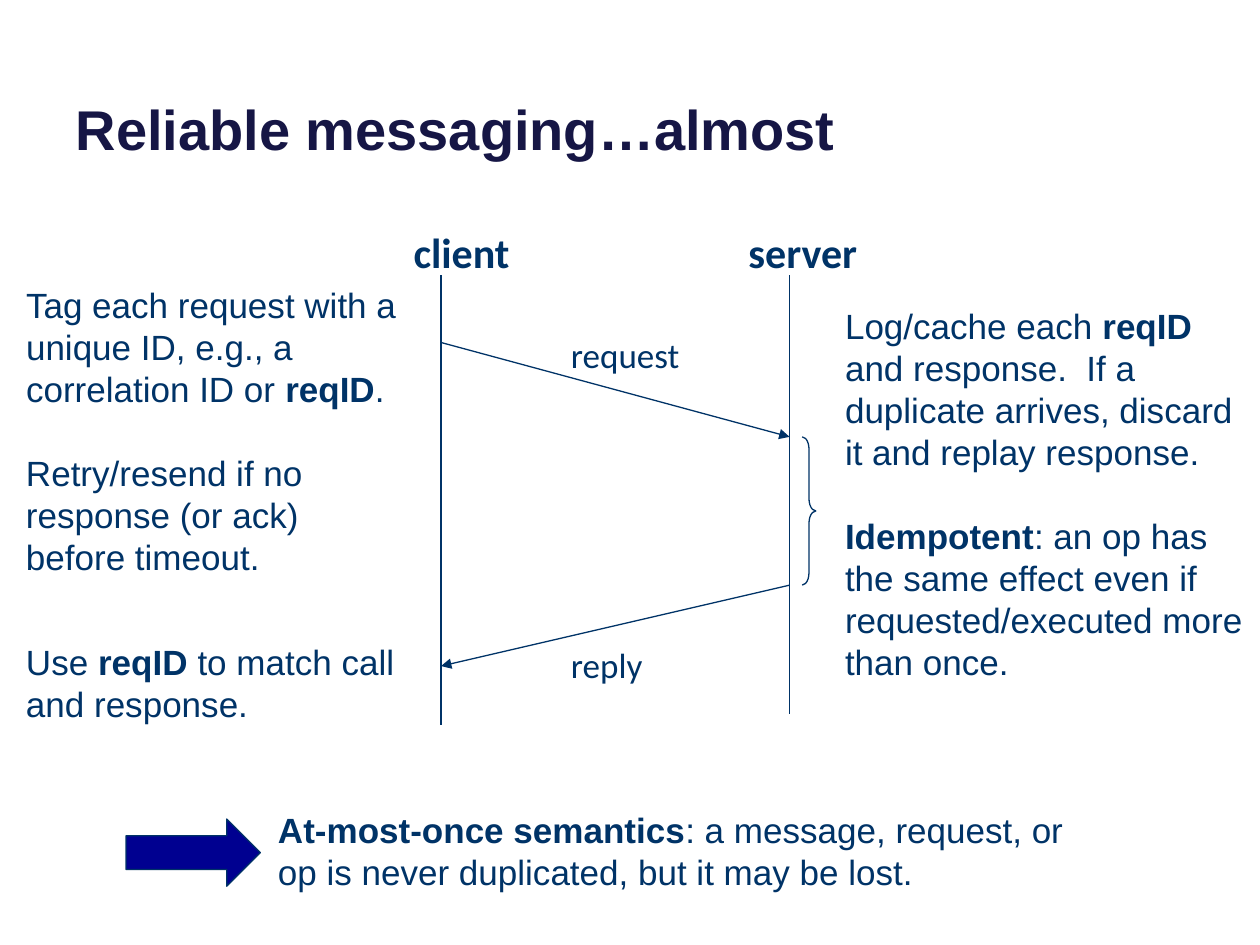
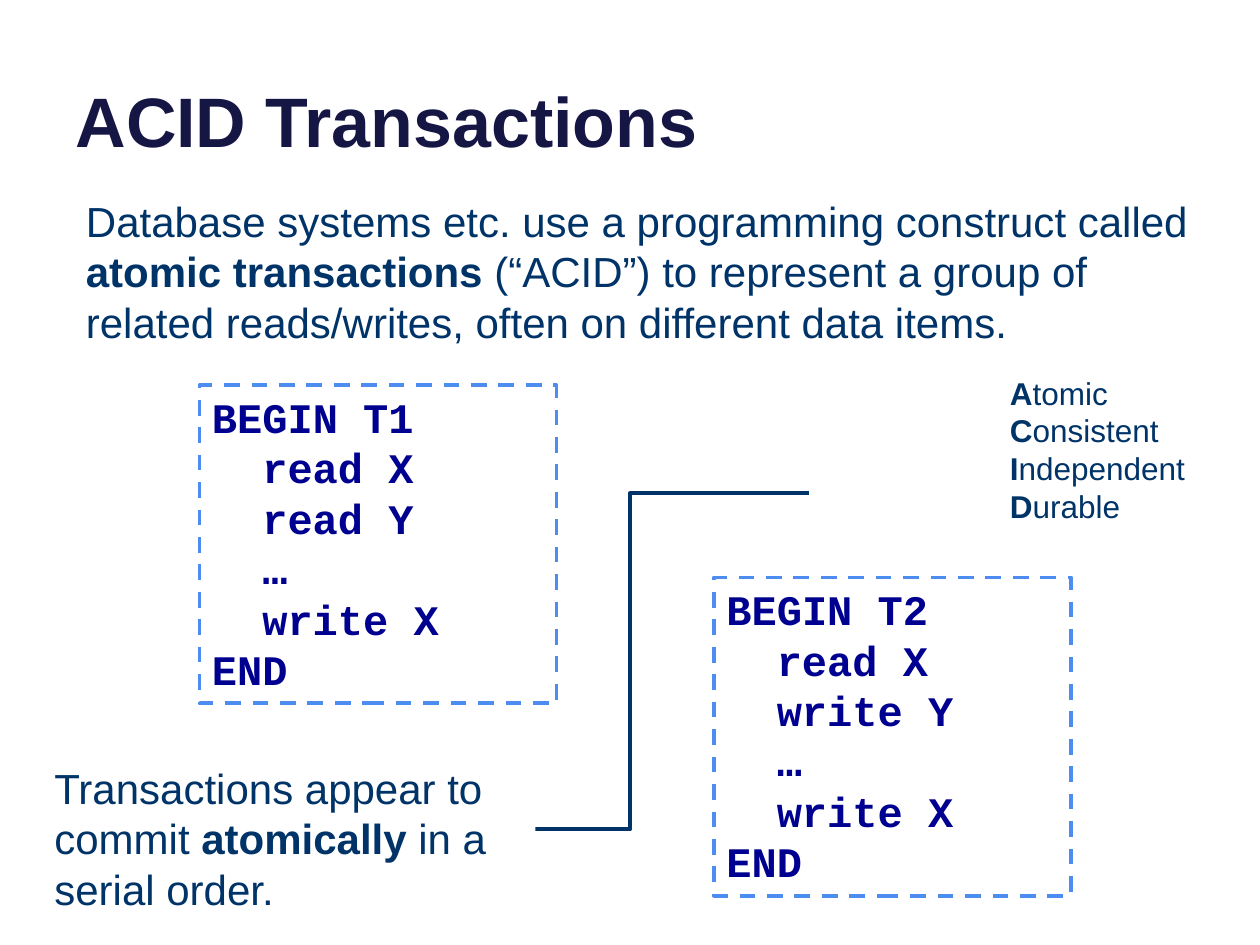
import pptx
import pptx.util
import pptx.dml.color
import pptx.enum.dml
import pptx.enum.shapes
import pptx.enum.text
import pptx.oxml
import pptx.oxml.ns
import lxml.etree

COLORS = {"title": "161645", "ink": "003367", "code": "000090",
          "dash": "4D8CF1", "paper": "FFFFFF"}
WIDTH, HEIGHT = pptx.util.Inches(10), pptx.util.Inches(7.5)
COLUMNS, ROWS = 120, 90
TITLE_BOX = (6, -4.4, 108, 20.4)
LINE_PITCH = 1.2
TITLE_ONLY = 5
CONNECTOR = pptx.enum.shapes.MSO_CONNECTOR
SHAPE = pptx.enum.shapes.MSO_SHAPE


def color(name):
    return pptx.dml.color.RGBColor.from_string(COLORS[name])


def point(column, row):
    return int(WIDTH * column / COLUMNS), int(HEIGHT * row / ROWS)


def place(box):
    return point(*box[:2]) + point(*box[2:])


def set_outline(line, name, width):
    line.color.rgb = color(name)
    line.width = pptx.util.Pt(width)


def set_font(font, family, size, name, bold=None):
    font.name = family
    font.size = pptx.util.Pt(size)
    font.color.rgb = color(name)
    font.bold = bold


def add_title(slide, wording, size):
    title = slide.shapes.title
    title.left, title.top, title.width, title.height = place(TITLE_BOX)
    frame = title.text_frame
    frame.text = wording
    frame.auto_size = pptx.enum.text.MSO_AUTO_SIZE.NONE
    frame.vertical_anchor = pptx.enum.text.MSO_ANCHOR.BOTTOM
    paragraph = frame.paragraphs[0]
    paragraph.alignment = pptx.enum.text.PP_ALIGN.LEFT
    set_font(paragraph.font, "Arial", size, "title", True)


def add_text(slide, box, lines, size, family="Arial", name="ink", bold=None,
             pitch=LINE_PITCH):
    text = slide.shapes.add_textbox(*place(box))
    frame = text.text_frame
    frame.word_wrap = True
    for index, line in enumerate(lines):
        paragraph = frame.paragraphs[0] if index == 0 else frame.add_paragraph()
        set_font(paragraph.font, family, size, name, bold)
        if pitch:
            paragraph.line_spacing = pptx.util.Pt(size * pitch)
        for part, wording in enumerate(line.split("**")):
            if wording:
                run = paragraph.add_run()
                run.text = wording
                if part % 2:
                    run.font.bold = True
    return text


def add_note(slide, box, wording):
    frame = add_text(slide, box, [wording], 20).text_frame
    frame.margin_left = frame.margin_right = pptx.util.Inches(0.04)
    frame.margin_top = frame.margin_bottom = 0


def add_line(slide, start, end, width=0.75, kind=CONNECTOR.STRAIGHT, arrow=False):
    connector = slide.shapes.add_connector(kind, *point(*start), *point(*end))
    set_outline(connector.line, "ink", width)
    if arrow:
        lxml.etree.SubElement(connector.line._get_or_add_ln(),
                              pptx.oxml.ns.qn("a:tailEnd"), type="triangle")
    lxml.etree.SubElement(connector._element.spPr, pptx.oxml.ns.qn("a:effectLst"))


def add_outlined_shape(slide, kind, box, fill=None):
    shape = slide.shapes.add_shape(kind, *place(box))
    shape.shadow.inherit = False
    set_outline(shape.line, "ink", 0.75)
    if fill:
        shape.fill.solid()
        shape.fill.fore_color.rgb = color(fill)
    else:
        shape.fill.background()
    return shape


def add_exchange(slide, box):
    left, top, width, height = box
    right = left + width
    sent, received, answered, returned = (
        top + height * share for share in (0.15, 0.36, 0.69, 0.87))
    add_line(slide, (left, top), (left, top + height))
    add_line(slide, (right, top), (right, top + height - 1))
    add_line(slide, (left, sent), (right, received), arrow=True)
    add_line(slide, (right, answered), (left, returned), arrow=True)
    for role, column in (("client", left - 3.8), ("server", right - 5.1)):
        add_text(slide, (column, top - 5.2, 17.9, 5.3), [role], 24, "Calibri",
                 bold=True, pitch=None)
    brace = add_outlined_shape(slide, SHAPE.RIGHT_BRACE,
                               (right + 1.2, received, 1.3, answered - received))
    brace.adjustments[0] = 0.917
    for message, row in (("request", sent - 1.4), ("reply", returned - 2.7)):
        add_text(slide, (left + 11.2, row, 27.1, 4.6), [message], 20, "Calibri",
                 pitch=None)


def add_note_column(slide, left, width, notes):
    for row, wording in notes:
        add_note(slide, (left, row, width, 14), wording)


def add_conclusion(slide, box, wording):
    left, top, width, height = box
    add_note(slide, (left + 14, top, width - 14, height), wording)
    add_outlined_shape(slide, SHAPE.RIGHT_ARROW, (left, top + 1, 12.8, 6.4), "code")


def add_transaction(slide, box, name, steps):
    block = add_text(slide, box, [f"BEGIN {name}", *steps, "END"], 24,
                     "Courier New", "code", True)
    set_outline(block.line, "dash", 2.25)
    block.line.dash_style = pptx.enum.dml.MSO_LINE.DASH
    for paragraph in block.text_frame.paragraphs[1:-1]:
        paragraph._p.get_or_add_pPr().set("marL", str(pptx.util.Inches(0.4)))


def add_white_text(slide, box, lines, size):
    text = add_text(slide, box, lines, size)
    text.fill.solid()
    text.fill.fore_color.rgb = color("paper")


def build_messaging(slide):
    add_title(slide, "Reliable messaging…almost", 32)
    add_exchange(slide, (42, 26.2, 33.2, 42.8))
    add_note_column(slide, 2, 39, [
        (27, "Tag each request with a unique ID, e.g., a correlation ID or **reqID**.")])
    add_note_column(slide, 2, 37, [
        (43, "Retry/resend if no response (or ack) before timeout."),
        (61, "Use **reqID **to match call and response.")])
    add_note_column(slide, 80, 39, [
        (29, "Log/cache each **reqID** and response.  If a duplicate arrives, "
             "discard it and replay response."),
        (49, "**Idempotent**: an op has the same effect even if "
             "requested/executed more than once.")])
    add_conclusion(slide, (12, 77, 91, 11),
                   "**At-most-once semantics**: a message, request, or op is "
                   "never duplicated, but it may be lost.")


def build_transactions(slide):
    add_title(slide, "ACID Transactions", 40)
    add_transaction(slide, (19, 36.7, 34, 30.3), "T1",
                    ["read X", "read Y", "…", "write X"])
    add_text(slide, (7, 18, 110, 15.7), [
        "Database systems etc. use a programming construct called "
        "**atomic transactions** (“ACID”) to represent a group of related "
        "reads/writes, often on different data items."], 24)
    add_transaction(slide, (68, 55, 34, 30.3), "T2",
                    ["read X", "write Y", "…", "write X"])
    add_line(slide, (43, 79), (77, 47), 2.25, CONNECTOR.ELBOW)
    add_white_text(slide, (4, 72, 47, 15.7), [
        "Transactions appear to commit **atomically** in a serial order."], 24)
    add_white_text(slide, (95, 35, 22, 15.7), [
        "**A**tomic", "**C**onsistent", "**I**ndependent", "**D**urable"], 18)


def main():
    deck = pptx.Presentation()
    deck.slide_width, deck.slide_height = WIDTH, HEIGHT
    for build in (build_messaging, build_transactions):
        build(deck.slides.add_slide(deck.slide_layouts[TITLE_ONLY]))
    deck.save("out.pptx")


if __name__ == "__main__":
    main()
